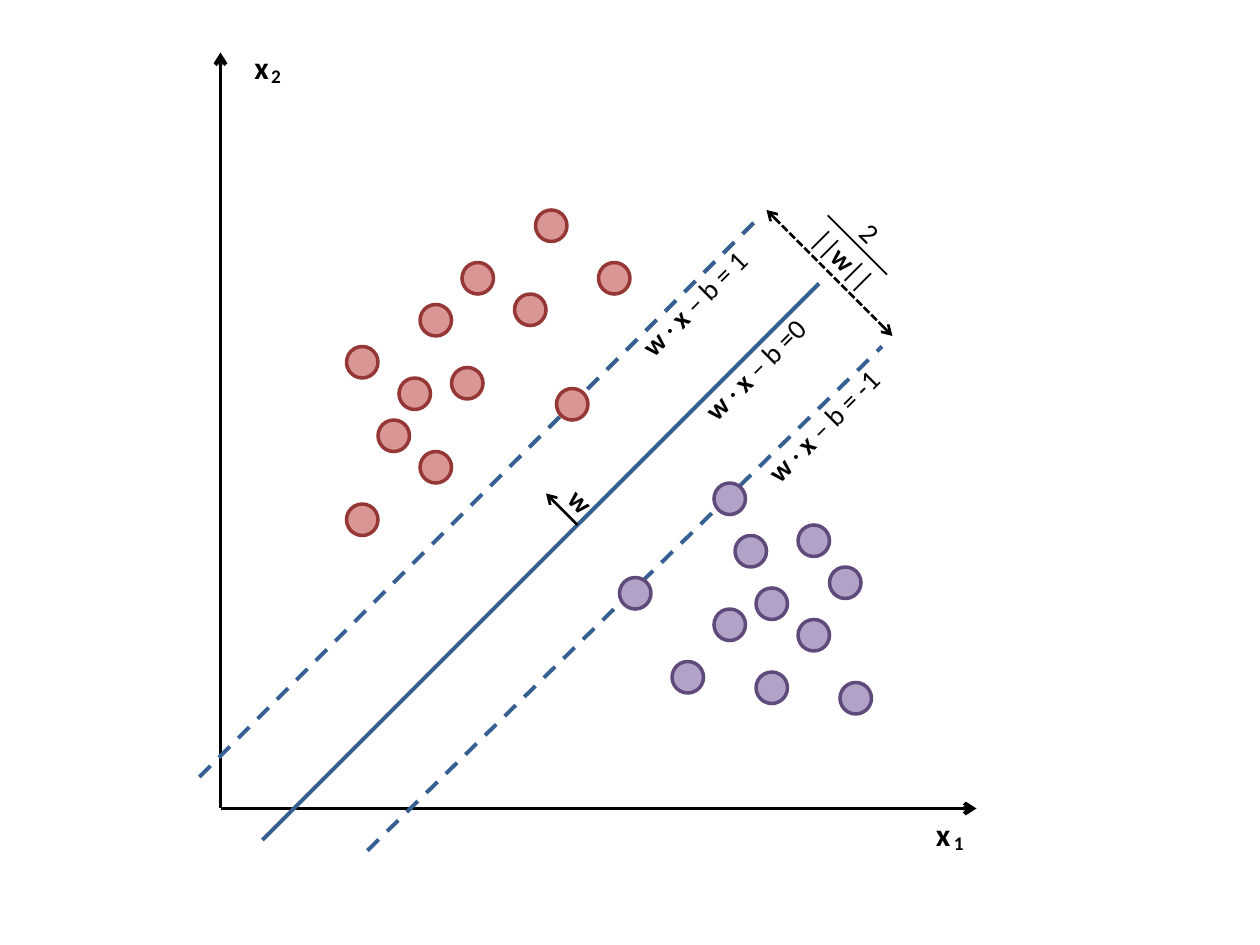
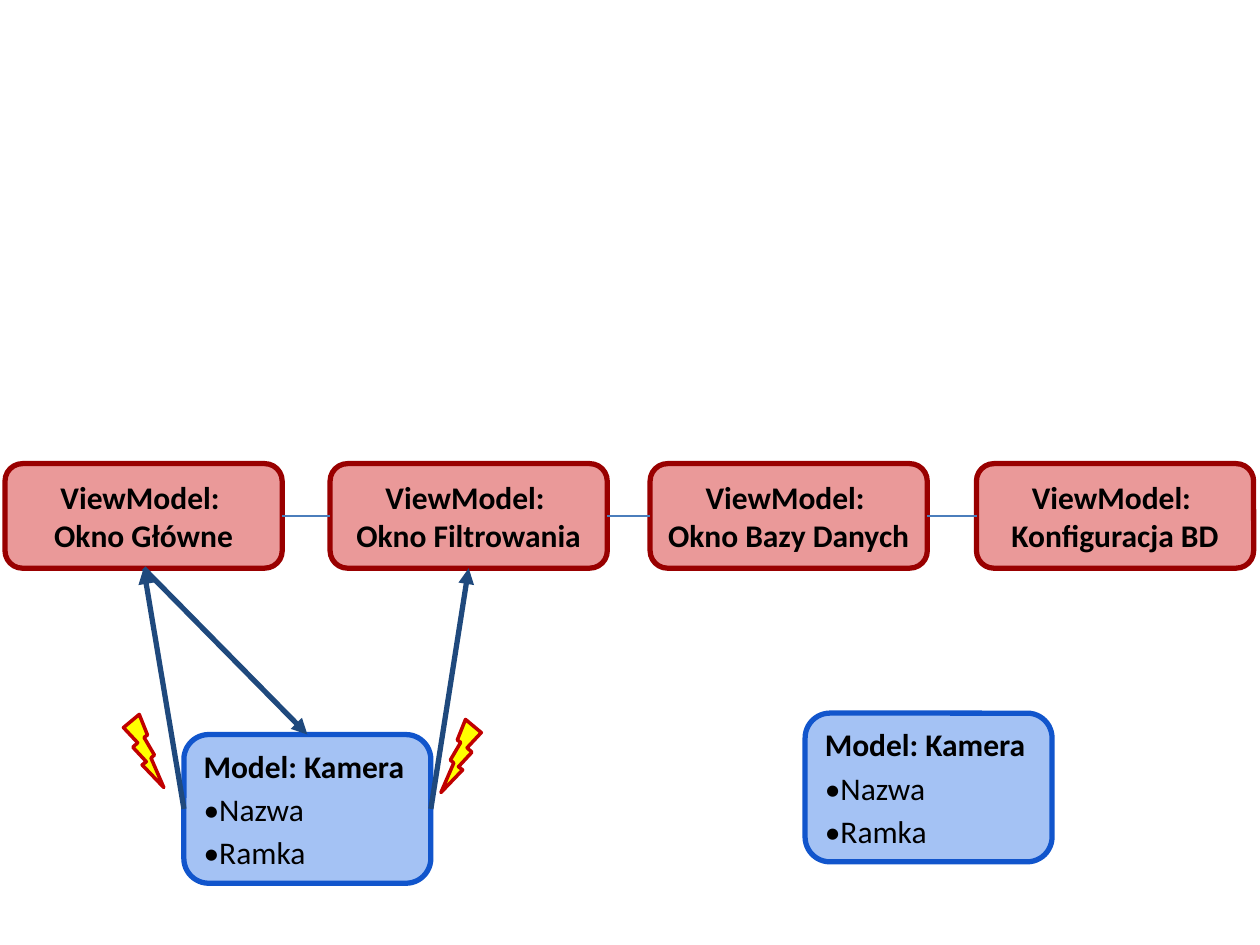
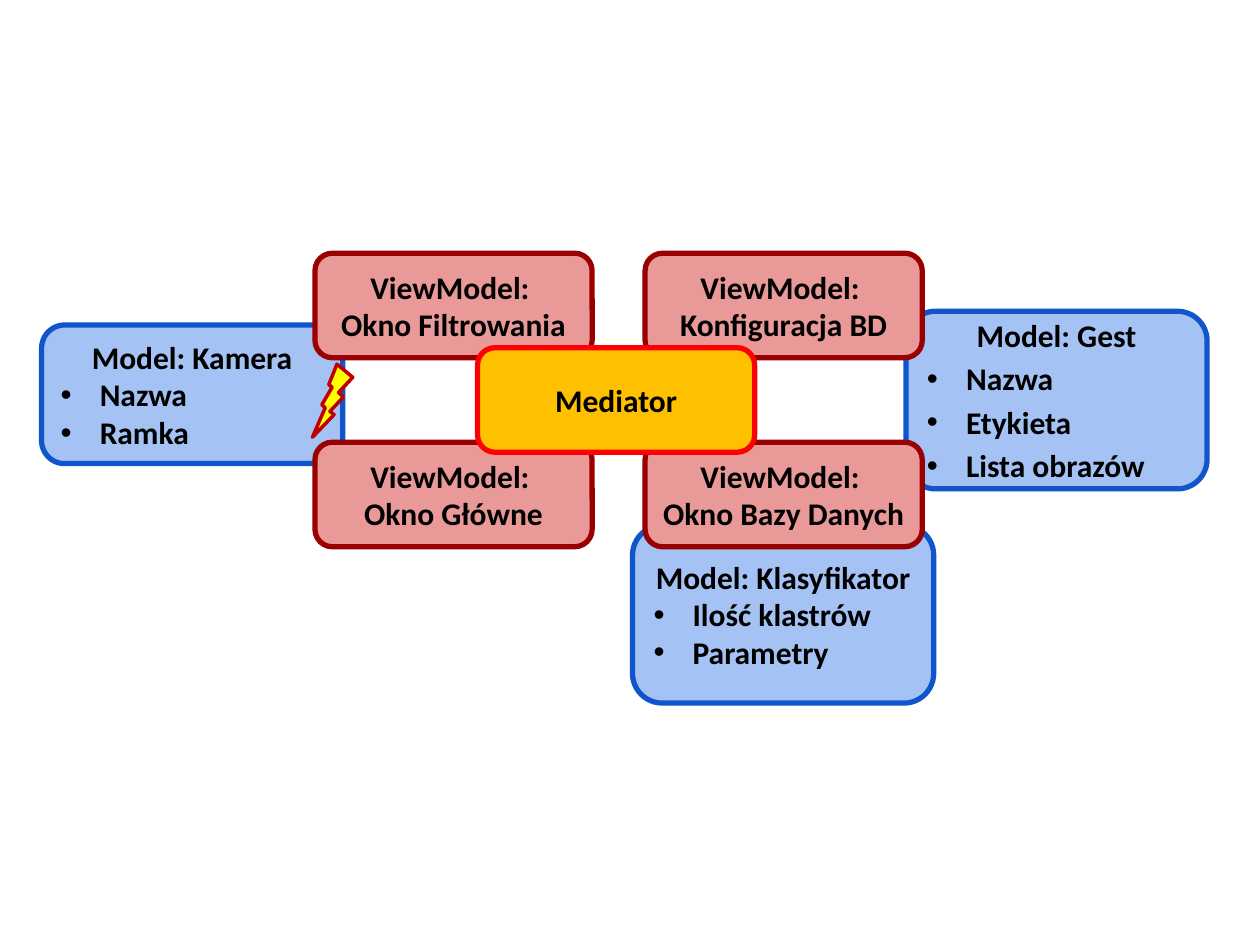
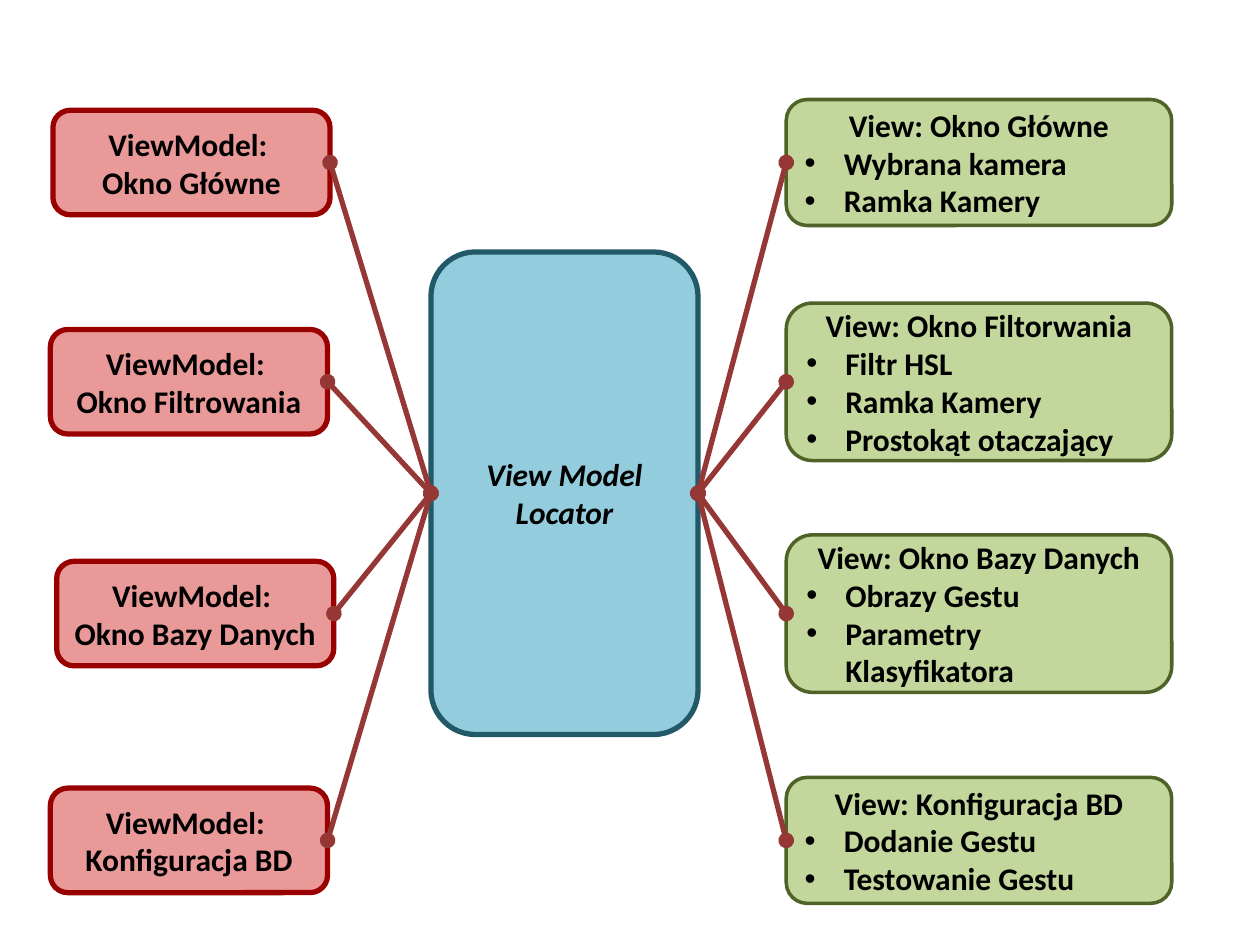
from lxml.etree import SubElement
from pptx import Presentation
from pptx.dml.color import RGBColor
from pptx.enum.dml import MSO_LINE
from pptx.enum.shapes import MSO_CONNECTOR, MSO_SHAPE
from pptx.enum.text import MSO_ANCHOR, MSO_AUTO_SIZE, PP_ALIGN
from pptx.oxml.ns import qn
from pptx.util import Inches, Pt

FONT = "Calibri"
BLACK = RGBColor(0x00, 0x00, 0x00)
BLUE = RGBColor(0x37, 0x60, 0x92)
NAVY = RGBColor(0x1F, 0x49, 0x7D)
STEEL = RGBColor(0x4B, 0x7E, 0xBC)
ROSE = RGBColor(0xD9, 0x96, 0x94)
WINE = RGBColor(0x95, 0x37, 0x35)
LILAC = RGBColor(0xB3, 0xA2, 0xC7)
PLUM = RGBColor(0x60, 0x4A, 0x7B)
YELLOW = RGBColor(0xFF, 0xFF, 0x00)
CRIMSON = RGBColor(0xC0, 0x00, 0x00)

# Box styles: fill, line, line width, top and bottom inset
STYLES = {
    "vm": (RGBColor(0xEA, 0x99, 0x99), RGBColor(0x99, 0x00, 0x00), 3, 0.1),
    "model": (RGBColor(0xA4, 0xC2, 0xF4), RGBColor(0x11, 0x55, 0xCC), 3, 0.1),
    "hub": (RGBColor(0xFF, 0xC0, 0x00), RGBColor(0xFF, 0x00, 0x00), 3, 0.1),
    "locator": (RGBColor(0x93, 0xCD, 0xDD), RGBColor(0x21, 0x59, 0x68), 3, 0.1),
    "view": (RGBColor(0xC3, 0xD6, 0x9B), RGBColor(0x4F, 0x62, 0x28), 2, 0.05),
}
TOP, LEFT, BOTTOM, RIGHT = range(4)
VM_W, VM_H = 2.2, 0.83
MAIN, FILTER, BASE, CONFIG = (
    "Okno Główne", "Okno Filtrowania", "Okno Bazy Danych", "Konfiguracja BD")

# Slide 1: plot coordinates are in twelfths of an inch
UNIT = 12
DOT = 3
REDS = [(53, 37), (40, 29), (49, 28), (33, 33), (43, 35), (57, 25),
        (40, 43), (44, 25), (36, 40), (38, 36), (51, 20), (33, 48)]
PURPLES = [(68, 46), (70, 51), (79, 54), (72, 56), (64, 63), (68, 58),
           (59, 55), (80, 65), (72, 64), (76, 50), (76, 59)]
# start, end, colour, width, dash, head, tail
PLOT = [
    ((21, 77), (21, 5), BLACK, 2.25, None, None, "arrow"),
    ((21, 77), (93, 77), BLACK, 2.25, None, None, "arrow"),
    ((25, 80), (78, 27), BLUE, 2.25, None, None, None),
    ((35, 81), (84, 33), BLUE, 2.25, MSO_LINE.DASH, None, None),
    ((19, 74), (72, 21), BLUE, 2.25, MSO_LINE.DASH, None, None),
    ((73, 20), (85, 32), BLACK, 1.5, MSO_LINE.SQUARE_DOT, "arrow", "arrow"),
    ((55, 50), (52, 47), BLACK, 1.5, None, None, "arrow"),
]
BAR = ((6.57, 1.71), (7.04, 2.18))
# text with *bold* parts, place, size, rotation, centred
LABELS = [
    ("*w*", (4.41, 3.79, 0.4, 0.37), 16, 45, True),
    ("*w* · *x* – b = -1", (5.84, 3.14, 1.5, 0.37), 16, 315, False),
    ("*w* · *x* – b =0", (5.34, 2.65, 1.5, 0.37), 16, 315, False),
    ("*w* · *x* – b = 1", (4.84, 2.14, 1.5, 0.37), 16, 315, False),
    ("2", (6.49, 1.66, 0.83, 0.37), 16, 45, True),
    ("||*w*||", (6.28, 1.87, 0.83, 0.37), 16, 45, True),
    ("*x*", (7.33, 6.42, 0.25, 0.4), 18, 0, False),
    ("*1*", (7.5, 6.55, 0.17, 0.29), 11, 0, False),
    ("*x*", (1.92, 0.33, 0.25, 0.4), 18, 0, False),
    ("*2*", (2.08, 0.46, 0.17, 0.29), 11, 0, False),
]

# Slide 2
ROW_Y = 3.68
ROW = [(MAIN, 0.04), (FILTER, 2.62), (BASE, 5.16), (CONFIG, 7.75)]
CAMERAS = [(1.46, 5.83), (6.39, 5.66)]

# Slide 3: title, place, bullets, line spacing
MODELS = [
    ("Model: Gest", (7.19, 2.47, 2.39, 1.41),
     ["Nazwa", "Etykieta", "Lista obrazów"], 1.15),
    ("Model: Klasyfikator", (5.02, 4.17, 2.39, 1.41),
     ["Ilość klastrów", "Parametry"], None),
    ("Model: Kamera", (0.33, 2.58, 2.39, 1.1), ["Nazwa", "Ramka"], None),
]
CORNERS = [(BASE, 5.12, 3.51), (FILTER, 2.5, 2.01),
           (MAIN, 2.5, 3.51), (CONFIG, 5.12, 2.01)]

# Slide 4: window, left edge, middle height, view title, view height, bullets
WINDOWS = [
    (MAIN, 0.42, 1.29, "View: Okno Główne", 1,
     ["Wybrana kamera", "Ramka Kamery"]),
    (FILTER, 0.4, 3.03, "View: Okno Filtorwania", 1.25,
     ["Filtr HSL", "Ramka Kamery", "Prostokąt otaczający"]),
    (BASE, 0.45, 4.87, "View: Okno Bazy Danych", 1.25,
     ["Obrazy Gestu", "Parametry Klasyfikatora"]),
    (CONFIG, 0.4, 6.67, "View: Konfiguracja BD", 1,
     ["Dodanie Gestu", "Testowanie Gestu"]),
]


def shape(slide, kind, at, fill, edge, width):
    item = slide.shapes.add_shape(kind, *map(Inches, at))
    item.shadow.inherit = False
    item.fill.solid()
    item.fill.fore_color.rgb = fill
    item.line.color.rgb = edge
    item.line.width = Pt(width)
    return item


def style(para, size=18, bold=None, italic=None):
    font = para.font
    font.name, font.size = FONT, Pt(size)
    font.bold, font.italic = bold, italic
    font.color.rgb = BLACK


def bullet(para):
    props = para._p.get_or_add_pPr()
    props.set("marL", str(Inches(0.31)))
    props.set("indent", str(-Inches(0.31)))
    SubElement(props, qn("a:buFont")).set("typeface", "Arial")
    SubElement(props, qn("a:buChar")).set("char", "•")


def box(slide, look, at, title, items=(), gap=None, plain=False, italic=None):
    """Add a rounded box; plain puts all its text at the left, unbulleted."""
    fill, edge, width, inset = STYLES[look]
    item = shape(slide, MSO_SHAPE.ROUNDED_RECTANGLE, at, fill, edge, width)
    frame = item.text_frame
    frame.word_wrap = True
    frame.vertical_anchor = MSO_ANCHOR.MIDDLE
    frame.margin_left = frame.margin_right = Inches(0.1)
    frame.margin_top = frame.margin_bottom = Inches(inset)
    head = frame.paragraphs[0]
    head.text = title
    head.alignment = PP_ALIGN.LEFT if plain else PP_ALIGN.CENTER
    style(head, bold=True, italic=italic)
    for text in items:
        para = frame.add_paragraph()
        para.text = text
        if not plain:
            bullet(para)
        para.alignment = PP_ALIGN.LEFT
        para.line_spacing = gap
        style(para, bold=not plain)
    return item


def window(slide, name, left, top):
    return box(slide, "vm", (left, top, VM_W, VM_H), f"ViewModel: \v{name}")


def line(slide, start, end, color, width, dash=None, head=None, tail=None):
    item = slide.shapes.add_connector(
        MSO_CONNECTOR.STRAIGHT, *map(Inches, (*start, *end)))
    item.line.color.rgb = color
    item.line.width = Pt(width)
    if dash:
        item.line.dash_style = dash
    for tag, tip in (("a:headEnd", head), ("a:tailEnd", tail)):
        if tip:
            SubElement(item.line._ln, qn(tag)).set("type", tip)
    SubElement(item._element.spPr, qn("a:effectLst"))
    return item


def link(slide, first, side, last, other, color, width, head=None, tail=None):
    """Join the middle of one box side to the middle of another."""
    item = line(slide, (0, 0), (1, 1), color, width, None, head, tail)
    item.begin_connect(first, side)
    item.end_connect(last, other)


def bolt(slide, left, top, flip=False):
    item = shape(slide, MSO_SHAPE.LIGHTNING_BOLT, (left, top, 0.32, 0.58),
                 YELLOW, CRIMSON, 2)
    if flip:
        item._element.spPr.xfrm.set("flipH", "1")


def label(slide, text, at, size, turn, centred):
    item = slide.shapes.add_textbox(*map(Inches, at))
    item.rotation = turn
    frame = item.text_frame
    frame.word_wrap = True
    frame.auto_size = MSO_AUTO_SIZE.SHAPE_TO_FIT_TEXT
    para = frame.paragraphs[0]
    para.alignment = PP_ALIGN.CENTER if centred else PP_ALIGN.LEFT
    style(para, size)
    for i, part in enumerate(text.split("*")):
        if part:
            run = para.add_run()
            run.text = part
            run.font.bold = i % 2 == 1


def margin_plot(slide):
    for start, end, *look in PLOT:
        line(slide, [n / UNIT for n in start], [n / UNIT for n in end], *look)
    for dots, fill, edge in ((REDS, ROSE, WINE), (PURPLES, LILAC, PLUM)):
        for x, y in dots:
            at = [n / UNIT for n in (x, y, DOT, DOT)]
            shape(slide, MSO_SHAPE.OVAL, at, fill, edge, 2)
    for entry in LABELS:
        label(slide, *entry)
    line(slide, *BAR, BLACK, 1)


def camera_events(slide):
    row = [window(slide, name, left, ROW_Y) for name, left in ROW]
    camera, _ = [
        box(slide, "model", (x, y, 1.96, 1.18), "Model: Kamera",
            ["•Nazwa", "•Ramka"], 1.15, plain=True) for x, y in CAMERAS]
    for first, last in zip(row, row[1:]):
        link(slide, first, RIGHT, last, LEFT, STEEL, 0.75)
    for first, side, last, other in (
            (camera, RIGHT, row[1], BOTTOM),
            (camera, LEFT, row[0], BOTTOM),
            (row[0], BOTTOM, camera, TOP)):
        link(slide, first, side, last, other, NAVY, 3, tail="triangle")
    bolt(slide, 0.98, 5.67)
    bolt(slide, 3.5, 5.71, flip=True)


def mediator(slide):
    for title, at, items, gap in MODELS:
        box(slide, "model", at, title, items, gap)
    for corner in CORNERS:
        window(slide, *corner)
    bolt(slide, 2.48, 2.89, flip=True)
    box(slide, "hub", (3.79, 2.76, VM_W, VM_H), "Mediator")


def locator(slide):
    hub = box(slide, "locator", (3.42, 2, 2.12, 3.83),
              "View Model Locator", italic=True)
    for name, left, mid, title, tall, items in WINDOWS:
        model = window(slide, name, left, mid - VM_H / 2)
        view = box(slide, "view", (6.24, mid - tall / 2, 3.06, tall),
                   title, items)
        link(slide, model, RIGHT, hub, LEFT, WINE, 3, "oval", "oval")
        link(slide, view, LEFT, hub, RIGHT, WINE, 3, "oval", "oval")


def main():
    deck = Presentation()
    deck.slide_width, deck.slide_height = Inches(10), Inches(7.5)
    for draw in (margin_plot, camera_events, mediator, locator):
        draw(deck.slides.add_slide(deck.slide_layouts[6]))
    deck.save("out.pptx")


if __name__ == "__main__":
    main()
